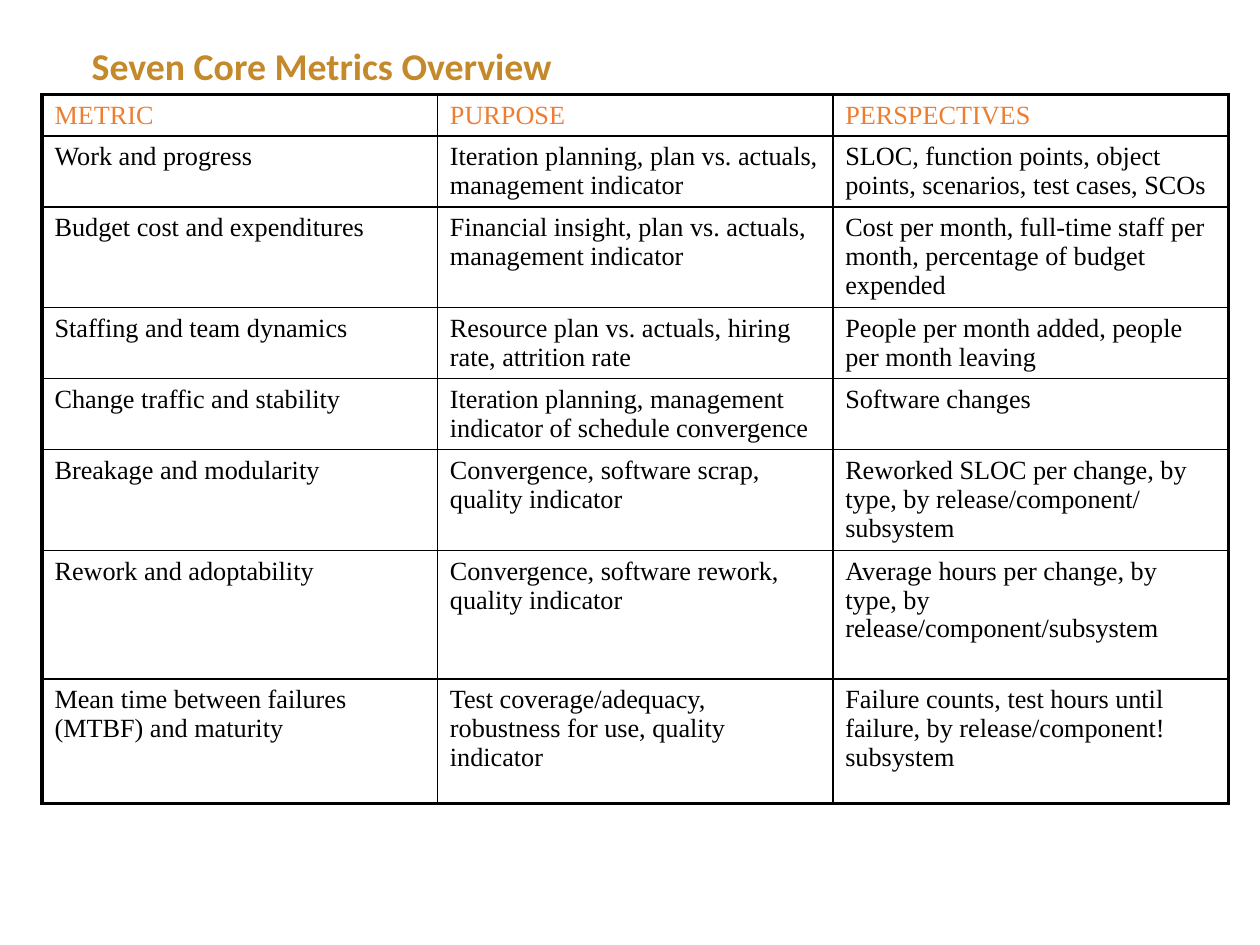
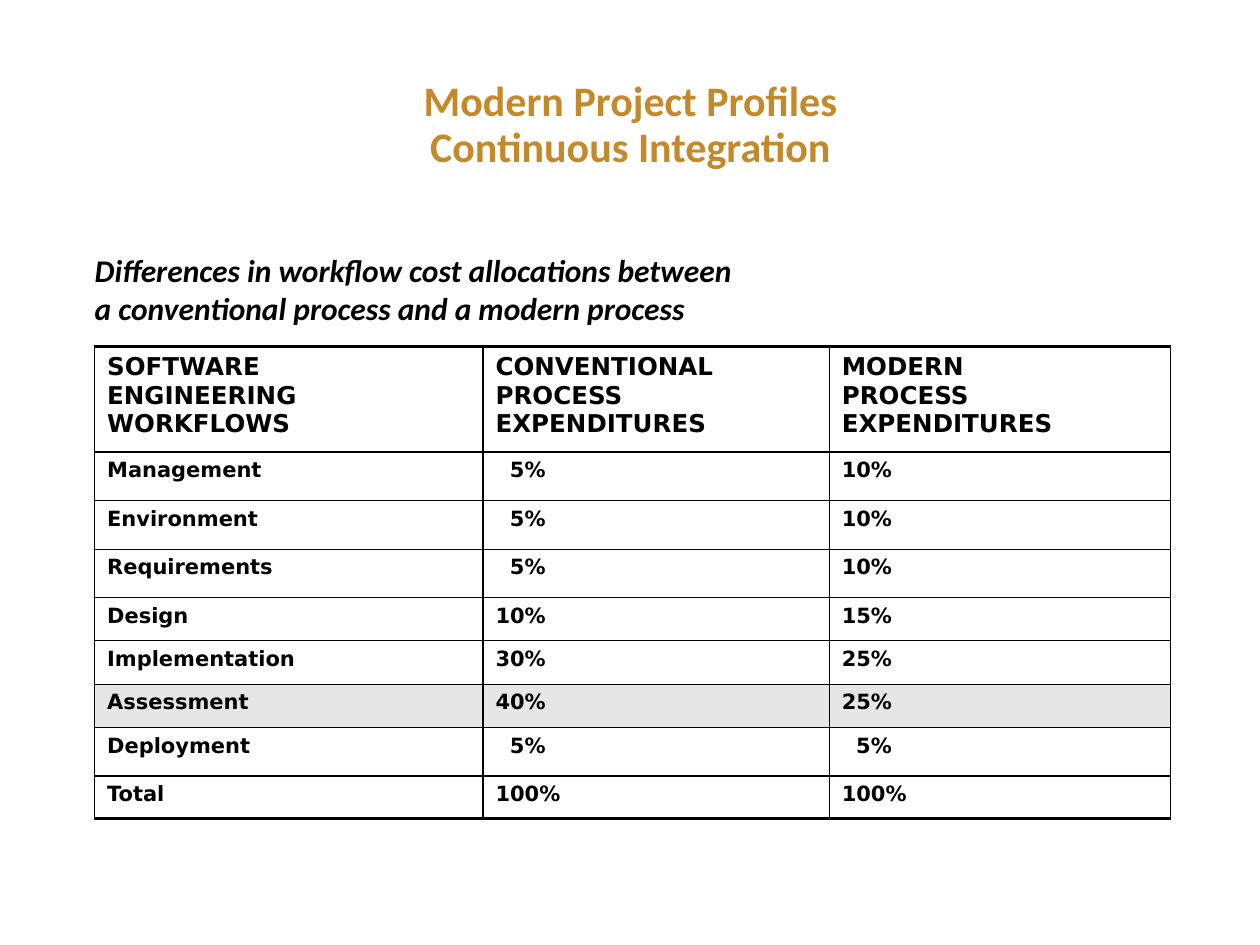
from itertools import product

from lxml.etree import SubElement
from pptx import Presentation
from pptx.dml.color import RGBColor
from pptx.enum.text import MSO_ANCHOR, PP_ALIGN
from pptx.oxml.ns import qn
from pptx.util import Cm, Pt

COLOURS = {
    "title": "C4892B",
    "heading": "ED7D31",
    "text": "000000",
    "line": "000000",
    "highlight": "E6E6E6",
}

# Font formats; "\n" in a text starts a paragraph, "\v" breaks a line
OVERVIEW_TITLE = {"name": "Calibri", "size": Pt(21.6), "bold": True, "colour": "title"}
PROFILES_TITLE = {**OVERVIEW_TITLE, "size": Pt(24)}
CAPTION = {"name": "Calibri", "size": Pt(18), "bold": True, "italic": True, "colour": "text"}
METRIC_BODY = {"name": "Times New Roman", "size": Pt(15), "bold": False, "colour": "text"}
METRIC_HEADING = {**METRIC_BODY, "colour": "heading"}
COST_BODY = {"name": "DejaVu Sans", "size": Pt(12), "bold": True, "colour": "text"}
COST_HEADING = {**COST_BODY, "size": Pt(14)}

TITLE_LEFT, TITLE_TOP, TITLE_WIDTH = 1.6, 0.84, 22.22
# The zero bottom margin lets the row heights hold
CELL_MARGINS = {"margin_right": Cm(0.3), "margin_bottom": Cm(0)}
LEFT_MARGIN = 0.25
DIGIT_INDENT = 0.29

METRICS = [
    ("METRIC", "PURPOSE", "PERSPECTIVES"),
    ("Work and progress",
     "Iteration planning, plan vs. actuals, management indicator",
     "SLOC, function points, object points, scenarios, test cases, SCOs"),
    ("Budget cost and expenditures",
     "Financial insight, plan vs. actuals, management indicator",
     "Cost per month, full-time staff per month, percentage of budget expended"),
    ("Staffing and team dynamics",
     "Resource plan vs. actuals, hiring rate, attrition rate",
     "People per month added, people per month leaving"),
    ("Change traffic and stability",
     "Iteration planning, management indicator of schedule convergence",
     "Software changes"),
    ("Breakage and modularity",
     "Convergence, software scrap, quality indicator",
     "Reworked SLOC per change, by type, by release/component/ subsystem"),
    ("Rework and adoptability",
     "Convergence, software rework, quality indicator",
     "Average hours per change, by type, by release/component/subsystem"),
    ("Mean time between failures (MTBF) and maturity",
     "Test coverage/adequacy,\nrobustness for use, quality\nindicator",
     "Failure counts, test hours until\nfailure, by release/component!\nsubsystem"),
]

COSTS = [
    ("SOFTWARE\vENGINEERING\vWORKFLOWS",
     "CONVENTIONAL\nPROCESS\vEXPENDITURES",
     "MODERN\vPROCESS\vEXPENDITURES"),
    ("Management", "5%", "10%"),
    ("Environment", "5%", "10%"),
    ("Requirements", "5%", "10%"),
    ("Design", "10%", "15%"),
    ("Implementation", "30%", "25%"),
    ("Assessment", "40%", "25%"),
    ("Deployment", "5%", "5%"),
    ("Total", "100%", "100%"),
]


def rgb(name):
    return RGBColor.from_string(COLOURS[name])


def set_attributes(target, values):
    for key, value in values.items():
        setattr(target, key, value)


def format_text(text_frame, font_format, **paragraph_format):
    """Apply one font format and paragraph settings to all the text."""
    font_values = {key: value for key, value in font_format.items() if key != "colour"}
    for paragraph in text_frame.paragraphs:
        set_attributes(paragraph, paragraph_format)
        for run in paragraph.runs:
            set_attributes(run.font, font_values)
            run.font.color.rgb = rgb(font_format["colour"])


def add_text(slide, box, text, font_format, anchor=MSO_ANCHOR.TOP, wrap=True,
             **paragraph_format):
    text_frame = slide.shapes.add_textbox(*map(Cm, box)).text_frame
    text_frame.word_wrap = wrap
    text_frame.vertical_anchor = anchor
    text_frame.text = text
    format_text(text_frame, font_format, **paragraph_format)


def add_title(slide, text, height, font_format, alignment):
    box = (TITLE_LEFT, TITLE_TOP, TITLE_WIDTH, height)
    add_text(slide, box, text, font_format, MSO_ANCHOR.MIDDLE,
             alignment=alignment, line_spacing=0.9)


def set_borders(cell, **widths):
    """Draw the cell's edges; widths are points in the order L, R, T, B."""
    properties = cell._tc.get_or_add_tcPr()
    for edge, width in widths.items():
        line = SubElement(properties, qn(f"a:ln{edge}"), w=str(Pt(width)))
        fill = SubElement(line, qn("a:solidFill"))
        SubElement(fill, qn("a:srgbClr"), val=COLOURS["line"])


def add_grid(slide, left, top, column_widths, row_heights, rows,
             heading_format, body_format, vertical_lines, horizontal_lines,
             highlighted_row=None):
    """Place a table; the line lists hold the point width of each grid line."""
    box = (left, top, sum(column_widths), sum(row_heights))
    table = slide.shapes.add_table(
        len(rows), len(column_widths), *map(Cm, box)).table
    table.first_row = table.horz_banding = False
    for column, width in zip(table.columns, column_widths):
        column.width = Cm(width)
    for row, height in zip(table.rows, row_heights):
        row.height = Cm(height)

    for r, c in product(range(len(rows)), range(len(column_widths))):
        cell, text = table.cell(r, c), rows[r][c]
        cell.text = text
        format_text(cell.text_frame, body_format if r else heading_format)
        set_attributes(cell, CELL_MARGINS)
        # Single-digit percentages are indented
        indent = DIGIT_INDENT if text.endswith("%") and len(text) == 2 else 0
        cell.margin_left = Cm(LEFT_MARGIN + indent)
        set_borders(cell, L=vertical_lines[c], R=vertical_lines[c + 1],
                    T=horizontal_lines[r], B=horizontal_lines[r + 1])
        if r == highlighted_row:
            cell.fill.solid()
            cell.fill.fore_color.rgb = rgb("highlight")
        else:
            cell.fill.background()


def build_metrics_slide(slide):
    add_title(slide, "Seven Core Metrics Overview", 1.07, OVERVIEW_TITLE, PP_ALIGN.LEFT)
    add_grid(slide, 0.85, 1.91, [7.97] * 3,
             [0.83, 1.43, 2.01, 1.43, 1.43, 2.01, 2.59, 2.51],
             METRICS, METRIC_HEADING, METRIC_BODY,
             vertical_lines=[2.25, 1, 1, 2.25],
             horizontal_lines=[2.25] + [1] * 7 + [2.25])


def build_costs_slide(slide):
    add_title(slide, "Modern Project Profiles\vContinuous Integration", 3.39,
              PROFILES_TITLE, PP_ALIGN.CENTER)
    add_grid(slide, 1.91, 6.98, [7.83, 6.98, 6.88],
             [2.13] + [0.98] * 3 + [0.87] * 3 + [0.98, 0.86],
             COSTS, COST_HEADING, COST_BODY,
             vertical_lines=[0.75, 1, 0.75, 0.75],
             horizontal_lines=[2, 1] + [0.75] * 6 + [1, 2],
             highlighted_row=6)
    # Caption above the table
    add_text(slide, (1.66, 4.93, 18.31, 1.78),
             "Differences in workflow cost allocations between\n"
             "a conventional process and a modern process",
             CAPTION, wrap=False)


def main():
    presentation = Presentation()
    presentation.slide_width, presentation.slide_height = Cm(25.4), Cm(19.05)
    blank_layout = presentation.slide_layouts[6]
    for build in (build_metrics_slide, build_costs_slide):
        build(presentation.slides.add_slide(blank_layout))
    presentation.save("out.pptx")


if __name__ == "__main__":
    main()
